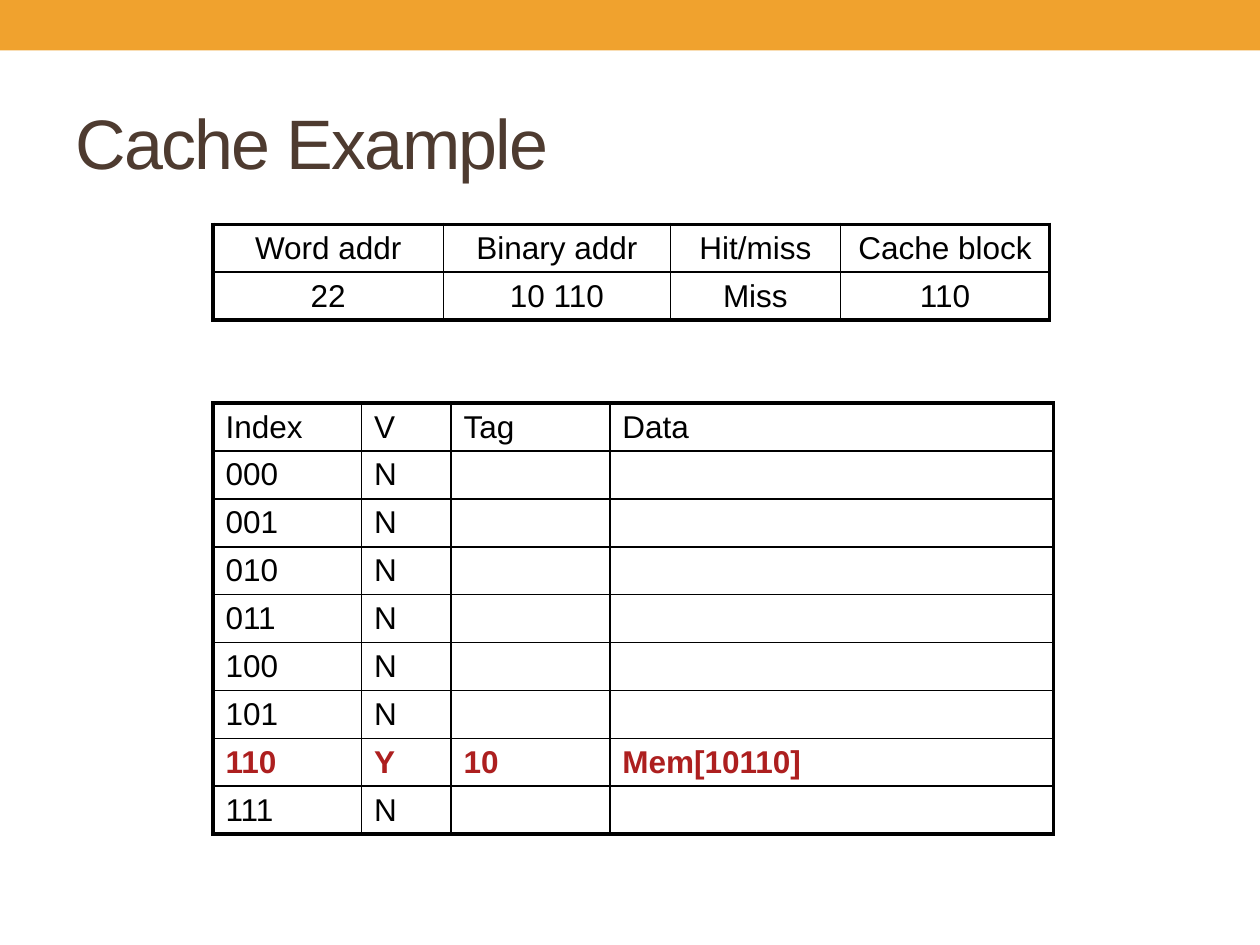
from lxml.etree import SubElement
from pptx import Presentation
from pptx.dml.color import RGBColor
from pptx.enum.shapes import MSO_SHAPE
from pptx.enum.text import MSO_ANCHOR, PP_ALIGN
from pptx.oxml.ns import qn
from pptx.util import Inches, Pt

ORANGE = RGBColor(0xF0, 0xA2, 0x2E)
BROWN = RGBColor(0x4E, 0x3B, 0x30)
BLACK = RGBColor(0, 0, 0)
RED = RGBColor(0xAD, 0x1F, 0x1F)

ROW_HEIGHT = 0.38
OUTER, HEADER, INNER = 2.25, 1.5, 1


def set_borders(cell, widths):
    """Draw black cell borders; widths are points for left, right, top, bottom."""
    properties = cell._tc.get_or_add_tcPr()
    for side, width in zip("LRTB", widths):
        line = SubElement(properties, qn(f"a:ln{side}"), w=str(Pt(width)))
        fill = SubElement(line, qn("a:solidFill"))
        SubElement(fill, qn("a:srgbClr"), val=str(BLACK))


def add_grid(slide, top, column_widths, rows, alignment, highlighted_row=None):
    """Add a table with a thick frame and a medium line under its header."""
    row_count, column_count = len(rows), len(column_widths)
    table = slide.shapes.add_table(
        row_count, column_count, Inches(1.69), Inches(top),
        Inches(sum(column_widths)), Inches(ROW_HEIGHT * row_count),
    ).table
    table.first_row = table.horz_banding = False
    for column, width in zip(table.columns, column_widths):
        column.width = Inches(width)

    horizontal_lines = [OUTER, HEADER] + [INNER] * (row_count - 2) + [OUTER]
    vertical_lines = [OUTER] + [INNER] * (column_count - 1) + [OUTER]
    cell_format = {
        "margin_top": Inches(0.04),
        "margin_bottom": Inches(0.04),
        "vertical_anchor": MSO_ANCHOR.MIDDLE,
    }
    for row_index, values in enumerate(rows):
        table.rows[row_index].height = Inches(ROW_HEIGHT)
        highlighted = row_index == highlighted_row
        for column_index, value in enumerate(values):
            cell = table.cell(row_index, column_index)
            set_borders(cell, vertical_lines[column_index:column_index + 2]
                        + horizontal_lines[row_index:row_index + 2])
            cell.fill.background()
            for name, setting in cell_format.items():
                setattr(cell, name, setting)
            cell.text = value
            paragraph = cell.text_frame.paragraphs[0]
            paragraph.alignment = alignment
            font = paragraph.font
            font.name, font.size, font.bold = "Arial", Pt(18), highlighted
            font.color.rgb = RED if highlighted else BLACK


presentation = Presentation()
presentation.slide_width = Inches(10)
presentation.slide_height = Inches(7.5)
slide = presentation.slides.add_slide(presentation.slide_layouts[5])

banner = slide.shapes.add_shape(MSO_SHAPE.RECTANGLE, 0, 0, Inches(10), Inches(0.4))
banner.shadow.inherit = False
banner.fill.solid()
banner.fill.fore_color.rgb = ORANGE
banner.line.fill.background()

title = slide.shapes.title
title_place = {"left": 0.5, "top": 0.58, "width": 9, "height": 1.08}
for name, length in title_place.items():
    setattr(title, name, Inches(length))
title.text_frame.text = "Cache Example"
title.text_frame.vertical_anchor = MSO_ANCHOR.MIDDLE
paragraph = title.text_frame.paragraphs[0]
paragraph.alignment = PP_ALIGN.LEFT
run = paragraph.runs[0]
run.font.name, run.font.size = "Arial", Pt(40)
run.font.color.rgb = BROWN
run.font._element.set("spc", "-100")

cache_rows = [["Index", "V", "Tag", "Data"]]
cache_rows += [[f"{index:03b}", "N", "", ""] for index in range(8)]
filled_row = 1 + 0b110
cache_rows[filled_row] = ["110", "Y", "10", "Mem[10110]"]
add_grid(slide, 3.2, [1.18, 0.71, 1.26, 3.52], cache_rows, PP_ALIGN.LEFT, filled_row)

access_rows = [
    ["Word addr", "Binary addr", "Hit/miss", "Cache block"],
    ["22", "10 110", "Miss", "110"],
]
add_grid(slide, 1.78, [1.83, 1.8, 1.35, 1.66], access_rows, PP_ALIGN.CENTER)

presentation.save("out.pptx")
